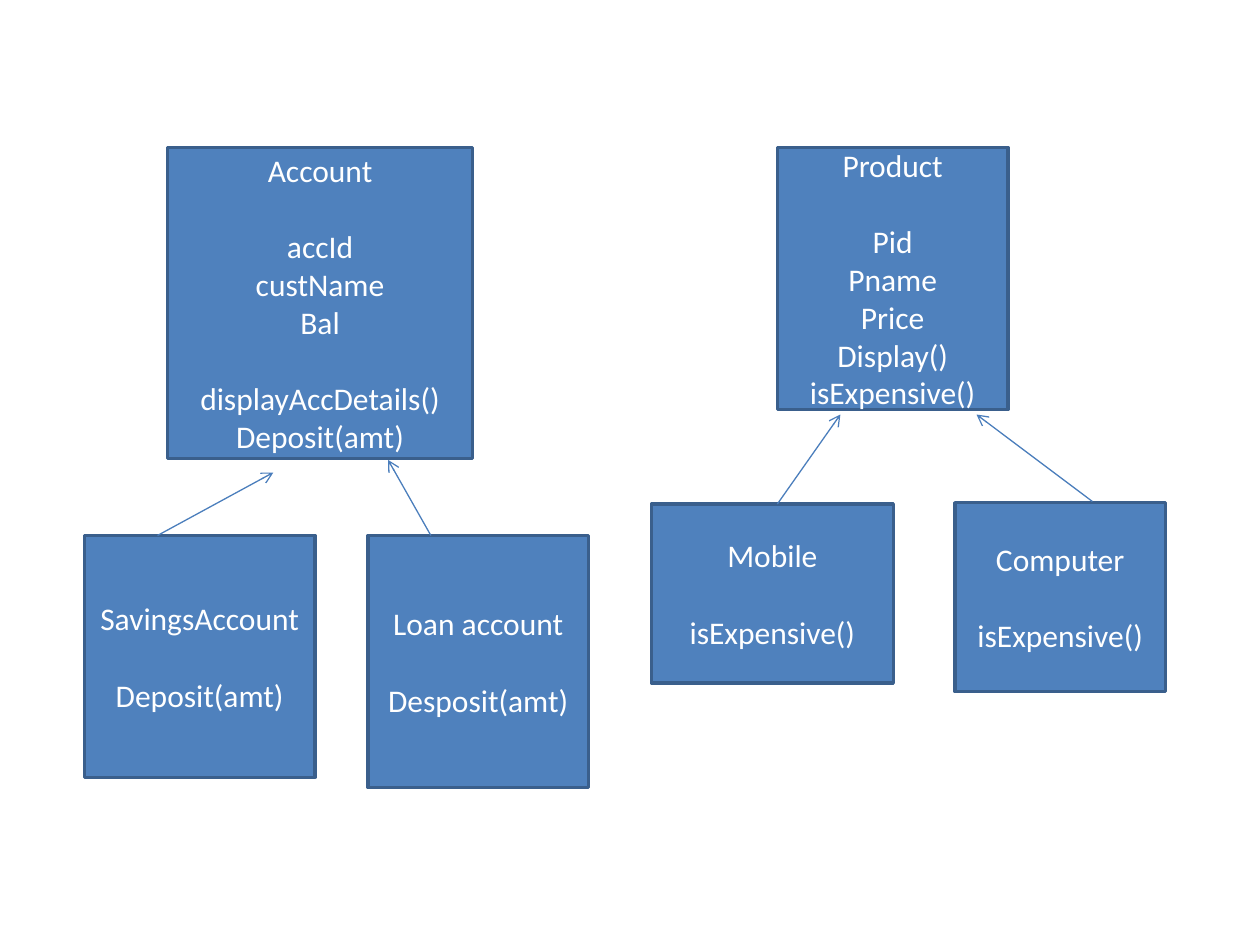
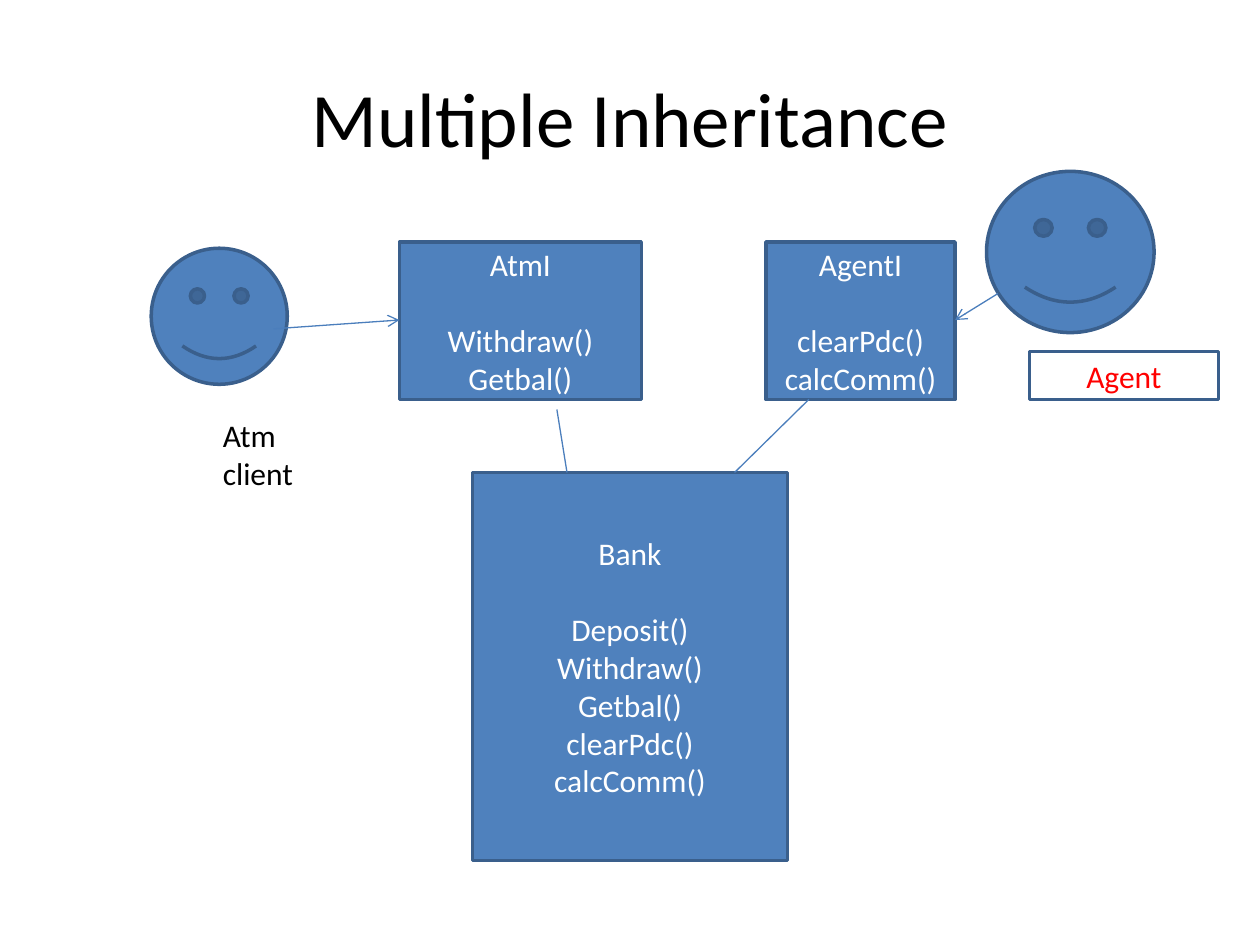
"""Builds two class-diagram slides on inheritance."""
from lxml import etree
from pptx import Presentation
from pptx.dml.color import RGBColor
from pptx.enum.shapes import MSO_CONNECTOR, MSO_SHAPE
from pptx.enum.text import MSO_ANCHOR, PP_ALIGN
from pptx.oxml.ns import qn
from pptx.util import Inches, Pt

RECTANGLE, SMILEY = MSO_SHAPE.RECTANGLE, MSO_SHAPE.SMILEY_FACE
STRAIGHT = MSO_CONNECTOR.STRAIGHT
LEFT, CENTER = PP_ALIGN.LEFT, PP_ALIGN.CENTER
TOP, MIDDLE = MSO_ANCHOR.TOP, MSO_ANCHOR.MIDDLE

BLUE = RGBColor(0x4F, 0x81, 0xBD)
OUTLINE = RGBColor(0x3A, 0x5F, 0x8C)
LINK = RGBColor(0x4B, 0x7E, 0xBC)
WHITE = RGBColor(0xFF, 0xFF, 0xFF)
BLACK = RGBColor(0, 0, 0)
RED = RGBColor(0xFF, 0, 0)
FONT = "Calibri"
GROUP_GAP = Pt(22)


def write(shape, groups, size=18, color=WHITE, align=CENTER, anchor=MIDDLE):
    """Write groups of lines, each group set off from the one before by a gap."""
    frame = shape.text_frame
    frame.word_wrap = True
    frame.vertical_anchor = anchor
    para = None
    for group in groups:
        for index, line in enumerate(group):
            follows = para is not None
            para = frame.add_paragraph() if follows else frame.paragraphs[0]
            para.alignment = align
            if follows and index == 0:
                para.space_before = GROUP_GAP
            span = para.add_run()
            span.text = line
            span.font.name = FONT
            span.font.size = Pt(size)
            span.font.color.rgb = color


class Diagram:
    """Holds the deck, its style and the current slide."""

    def __init__(self):
        self.deck = Presentation()
        self.deck.slide_width, self.deck.slide_height = Inches(10), Inches(7.5)
        self.page = None

    def new_page(self):
        """Start a blank slide."""
        self.page = self.deck.slides.add_slide(self.deck.slide_layouts[6])

    def figure(self, kind, place, fill=BLUE):
        """Draw an outlined preset shape."""
        shape = self.page.shapes.add_shape(kind, *map(Inches, place))
        shape.shadow.inherit = False
        if fill is None:
            shape.fill.background()
        else:
            shape.fill.solid()
            shape.fill.fore_color.rgb = fill
        shape.line.color.rgb = OUTLINE
        shape.line.width = Pt(2)
        return shape

    def class_box(self, place, *groups):
        """Draw a class with its name and groups of members."""
        write(self.figure(RECTANGLE, place), [group.split() if index else [group]
                                              for index, group in enumerate(groups)])

    def framed_label(self, place, text, color):
        """Draw an unfilled frame around a label."""
        write(self.figure(RECTANGLE, place, fill=None), [[text]], color=color)

    def text(self, place, text, **style):
        """Place plain black text."""
        box = self.page.shapes.add_textbox(*map(Inches, place))
        write(box, [[text]], color=BLACK, **style)

    def link(self, start, end, arrow=True):
        """Join two points, with an open arrowhead at the end if wanted."""
        line = self.page.shapes.add_connector(STRAIGHT, *map(Inches, start + end))
        line.line.color.rgb = LINK
        line.line.width = Pt(0.75)
        properties = line._element.spPr
        if arrow:
            etree.SubElement(properties.find(qn("a:ln")), qn("a:tailEnd"), type="arrow")
        etree.SubElement(properties, qn("a:effectLst"))


diagram = Diagram()

diagram.new_page()
diagram.class_box((6.17, 1.17, 1.83, 2.08), "Product",
                  "Pid Pname Price Display() isExpensive()")
diagram.class_box((5.17, 4, 1.92, 1.42), "Mobile", "isExpensive()")
diagram.class_box((7.58, 3.99, 1.67, 1.5), "Computer", "isExpensive()")
diagram.class_box((1.33, 1.17, 2.42, 2.47), "Account",
                  "accId custName Bal", "displayAccDetails() Deposit(amt)")
diagram.class_box((0.67, 4.25, 1.83, 1.92), "SavingsAccount", "Deposit(amt)")
diagram.class_box((2.92, 4.25, 1.75, 2), "Loan account", "Desposit(amt)")
for child, parent in (((6.17, 4), (6.67, 3.29)), ((8.67, 3.98), (7.75, 3.29)),
                      ((1.25, 4.25), (2.17, 3.75)), ((3.42, 4.25), (3.08, 3.65))):
    diagram.link(child, parent)

diagram.new_page()
diagram.text((0.5, 0.3, 9, 1.25), "Multiple Inheritance", size=44)
diagram.class_box((3.75, 3.75, 2.5, 3.08), "Bank",
                  "Deposit() Withdraw() Getbal() clearPdc() calcComm()")
diagram.figure(SMILEY, (1.2, 1.97, 1.08, 1.08))
diagram.figure(SMILEY, (7.83, 1.36, 1.33, 1.28))
diagram.text((1.67, 3.25, 1.17, 0.71), "Atm client", align=LEFT, anchor=TOP)
diagram.framed_label((8.17, 2.79, 1.5, 0.38), "Agent", RED)
diagram.class_box((3.17, 1.92, 1.92, 1.25), "AtmI", "Withdraw() Getbal()")
diagram.class_box((6.08, 1.92, 1.5, 1.25), "AgentI", "clearPdc() calcComm()")
diagram.link((2.17, 2.61), (3.17, 2.54))
diagram.link((7.92, 2.33), (7.58, 2.54))
diagram.link((4.5, 3.75), (4.42, 3.25), arrow=False)
diagram.link((5.83, 3.75), (6.42, 3.17), arrow=False)

diagram.deck.save("out.pptx")
